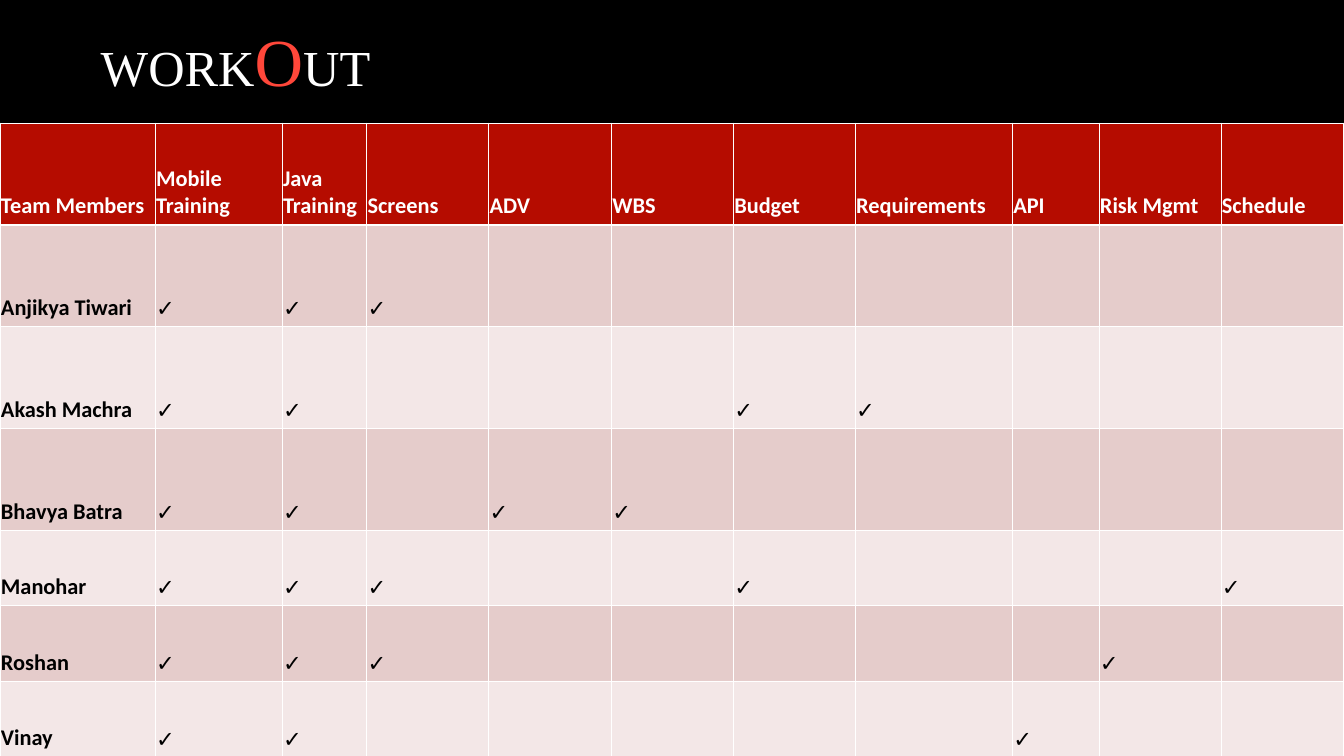
from lxml.etree import SubElement as Sub
from pptx import Presentation
from pptx.dml.color import RGBColor
from pptx.enum.shapes import MSO_SHAPE as Shape
from pptx.enum.text import MSO_ANCHOR as Anchor, MSO_AUTO_SIZE as Fit, PP_ALIGN as Align
from pptx.oxml.ns import qn
from pptx.util import Inches, Pt

COLORS = {"black": "000000", "white": "FFFFFF", "accent": "FF473A",
          "head": "B50C00", "odd": "E5CCCB", "even": "F3E7E7"}
HEADS = ["Team Members", "Mobile Training", "Java Training", "Screens", "ADV", "WBS",
         "Budget", "Requirements", "API", "Risk Mgmt", "Schedule"]
WIDTHS = [1.54, 1.26, 0.84, 1.21, 1.22, 1.21, 1.21, 1.56, 0.86, 1.21, 1.22]
HEIGHTS = [1.01] * 4 + [0.75] * 3
BASE = ["Mobile Training", "Java Training"]
TASKS = {
    "Anjikya Tiwari": ["Screens"],
    "Akash Machra": ["Budget", "Requirements"],
    "Bhavya Batra": ["ADV", "WBS"],
    "Manohar": ["Screens", "Budget", "Schedule"],
    "Roshan": ["Screens", "Risk Mgmt"],
    "Vinay": ["API"],
}


def color(name):
    """Return the named colour."""
    return RGBColor.from_string(COLORS[name])


def write(para, text, size=16, font="Calibri", ink="black", bold=False):
    """Add a formatted run to a paragraph."""
    run = para.add_run()
    run.text = text
    run.font.size = Pt(size)
    run.font.name = font
    run.font.bold = bold
    run.font.color.rgb = color(ink)


def add_band(slide):
    """Lay the black band behind the title."""
    band = slide.shapes.add_shape(Shape.RECTANGLE, 0, 0, Inches(13.34), Inches(1.25))
    band.shadow.inherit = False
    band.fill.solid()
    band.fill.fore_color.rgb = color("black")
    band.line.fill.background()
    slide.shapes.title.element.addprevious(band.element)


def add_title(slide):
    """Place the title with its large red letter."""
    title = slide.shapes.title
    title.left, title.top = Inches(0.9), Inches(-0.03)
    title.width, title.height = Inches(10.96), Inches(1.25)
    frame = title.text_frame
    frame.auto_size = Fit.NONE
    frame.vertical_anchor = Anchor.MIDDLE
    para = frame.paragraphs[0]
    para.alignment = Align.LEFT
    for text, size, ink in [("WORK", 36, "white"), ("O", 48, "accent"), ("UT", 36, "white")]:
        write(para, text, size=size, font="Times New Roman", ink=ink)


def edge(cell, side, width):
    """Draw one white side of a cell."""
    props = cell._tc.get_or_add_tcPr()
    line = Sub(props, qn(f"a:ln{side}"), w=str(Pt(width)))
    Sub(Sub(line, qn("a:solidFill")), qn("a:srgbClr"), val=COLORS["white"])


def fill_cell(cell, row, text, **style):
    """Format a cell and write its text."""
    cell.margin_left = cell.margin_right = Inches(0.01)
    cell.vertical_anchor = Anchor.BOTTOM
    for side in "LRTB":
        thick = (side, row) in [("B", 0), ("T", 1)]
        edge(cell, side, 1.47 if thick else 0.45)
    cell.fill.solid()
    cell.fill.fore_color.rgb = color("head" if row == 0 else "odd" if row % 2 else "even")
    if text:
        write(cell.text_frame.paragraphs[0], text, **style)


def add_grid(slide):
    """Add the table of members and their tasks."""
    grid = slide.shapes.add_table(len(HEIGHTS), len(WIDTHS), 0, Inches(1.22),
                                  Inches(13.34), Inches(6.28)).table
    for col, width in zip(grid.columns, WIDTHS):
        col.width = Inches(width)
    for row, height in zip(grid.rows, HEIGHTS):
        row.height = Inches(height)
    for col, head in enumerate(HEADS):
        fill_cell(grid.cell(0, col), 0, head, ink="white", bold=True)
    for row, (name, tasks) in enumerate(TASKS.items(), 1):
        fill_cell(grid.cell(row, 0), row, name, bold=True)
        for col, head in enumerate(HEADS[1:], 1):
            mark = "✓" if head in BASE + tasks else ""
            fill_cell(grid.cell(row, col), row, mark, font="Arial")


def main():
    """Build and save the slide."""
    deck = Presentation()
    deck.slide_width, deck.slide_height = Inches(13.34), Inches(7.5)
    slide = deck.slides.add_slide(deck.slide_layouts[5])
    add_band(slide)
    add_title(slide)
    add_grid(slide)
    deck.save("out.pptx")


if __name__ == "__main__":
    main()
